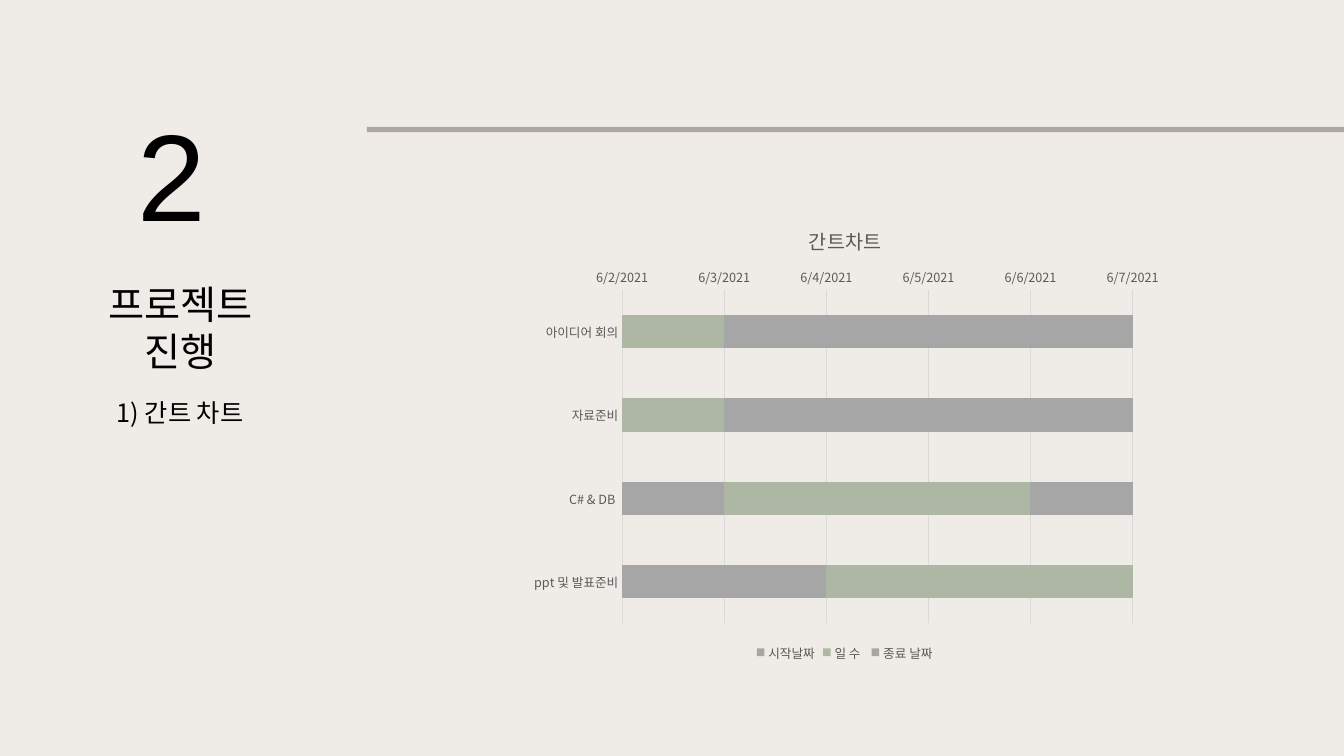
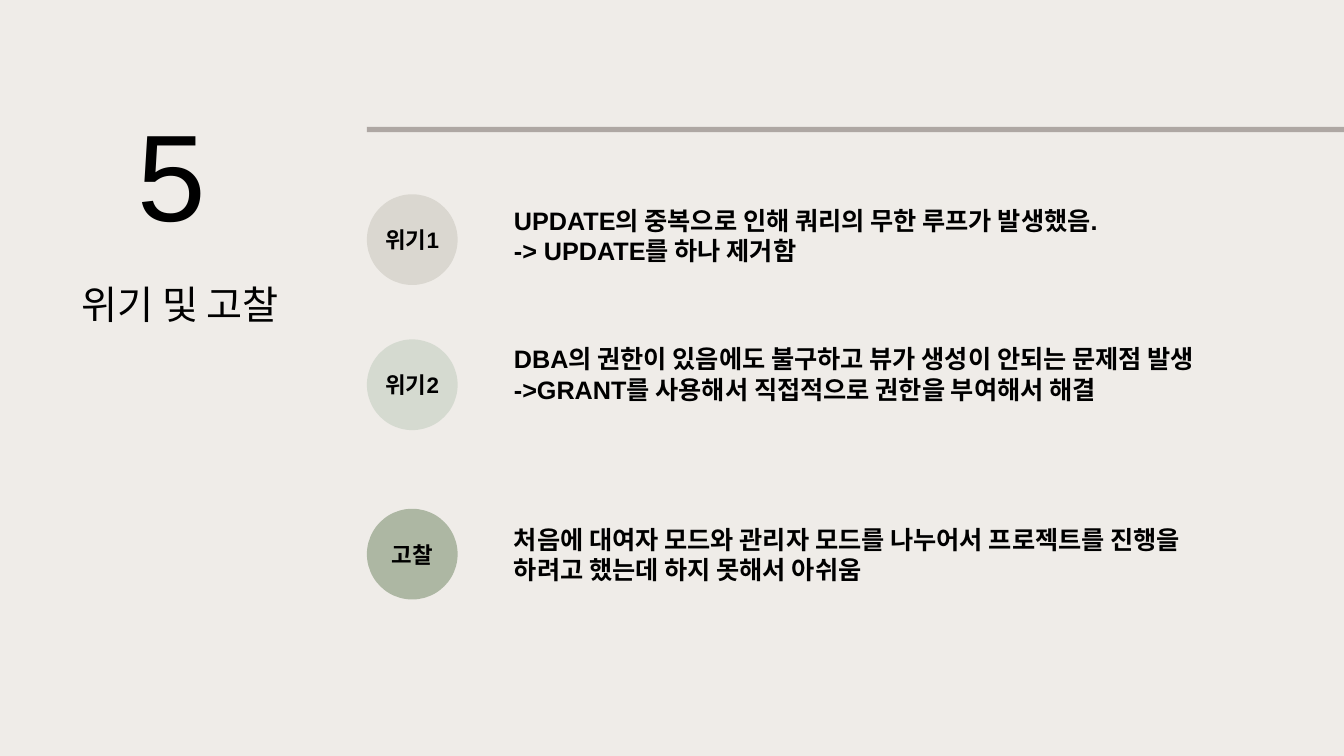
from lxml.etree import SubElement
from pptx import Presentation
from pptx.chart.data import CategoryChartData
from pptx.dml.color import RGBColor
from pptx.enum.chart import XL_CHART_TYPE, XL_LEGEND_POSITION, XL_TICK_MARK
from pptx.enum.shapes import MSO_SHAPE
from pptx.enum.text import MSO_ANCHOR, MSO_AUTO_SIZE, PP_ALIGN
from pptx.oxml import parse_xml
from pptx.oxml.ns import nsdecls, qn
from pptx.util import Inches, Pt


def color(hex_code):
    return RGBColor.from_string(hex_code)


class Deck:
    """Holds the shared style and the current slide; lengths are percent of the slide size."""

    INK, PAPER, BAND = "000000", "EFECE8", "AEA7A3"
    GRAY, GRID, BAR, SAGE = "595959", "D9D9D9", "A6A6A6", "ADB7A3"
    LATIN, KOREAN = "Arial", "Noto Sans CJK KR"
    SIDE_LEFT, SIDE_WIDTH = 4, 18.8
    MAIN_LEFT = 27.3

    def __init__(self):
        self.prs = Presentation()
        self.prs.slide_width, self.prs.slide_height = Inches(13.33), Inches(7.5)
        backdrop = self.prs.slide_master.background.fill
        backdrop.solid()
        backdrop.fore_color.rgb = color(self.PAPER)
        self.slide = None

    def box(self, left, top, width, height):
        w, h = self.prs.slide_width, self.prs.slide_height
        return [int(share * size / 100) for share, size in
                ((left, w), (top, h), (width, w), (height, h))]

    def style(self, font, size, face=KOREAN, ink=INK, bold=False):
        font.size, font.bold, font.name = Pt(size), bold, face
        font.color.rgb = color(ink)
        SubElement(font._rPr, qn("a:ea")).set("typeface", self.KOREAN)

    def add_lines(self, frame, lines, size, align=PP_ALIGN.LEFT, **look):
        for index, line in enumerate(lines):
            paragraph = frame.add_paragraph() if index else frame.paragraphs[0]
            paragraph.alignment = align
            paragraph.space_before = Pt(0)
            run = paragraph.add_run()
            run.text = line
            self.style(run.font, size, **look)

    def fill_placeholder(self, holder, lines, size, top, height):
        holder.left, holder.top, holder.width, holder.height = self.box(
            self.SIDE_LEFT, top, self.SIDE_WIDTH, height)
        frame = holder.text_frame
        frame.auto_size = MSO_AUTO_SIZE.NONE
        frame.vertical_anchor = MSO_ANCHOR.TOP
        self.add_lines(frame, lines, size, PP_ALIGN.CENTER)
        return frame

    def start(self, number, title, layout):
        self.slide = self.prs.slides.add_slide(self.prs.slide_layouts.get_by_name(layout))
        self.fill_placeholder(self.slide.shapes.title, title, 28, 36.35, 13.9)
        self.text([number], 88, 9.5, 12.3, 12.3, 21)
        self.shape(MSO_SHAPE.RECTANGLE, self.BAND, self.MAIN_LEFT, 16.8, 100 - self.MAIN_LEFT, 0.7)

    def subtitle(self, line):
        frame = self.fill_placeholder(self.slide.placeholders[1], [line], 18, 51.9, 5.4)
        properties = frame.paragraphs[0]._p.get_or_add_pPr()
        properties.set("marL", "0")
        properties.set("indent", "0")
        SubElement(properties, qn("a:buNone"))

    def text(self, lines, size, left, top, width, height, bold=False):
        frame = self.slide.shapes.add_textbox(*self.box(left, top, width, height)).text_frame
        frame.word_wrap = True
        self.add_lines(frame, lines, size, face=self.LATIN, bold=bold)

    def shape(self, preset, fill, left, top, width, height):
        shape = self.slide.shapes.add_shape(preset, *self.box(left, top, width, height))
        shape.shadow.inherit = False
        shape.fill.solid()
        shape.fill.fore_color.rgb = color(fill)
        shape.line.fill.background()
        return shape

    def badge(self, label, fill, top):
        frame = self.shape(MSO_SHAPE.OVAL, fill, self.MAIN_LEFT, top, 6.75, 12).text_frame
        frame.margin_left = frame.margin_right = 0
        frame.word_wrap = False
        frame.vertical_anchor = MSO_ANCHOR.MIDDLE
        self.add_lines(frame, [label], 16, PP_ALIGN.CENTER, face=self.LATIN, bold=True)

    def place(self, parent, index, **shares):
        for old in parent.findall(qn("c:layout")):
            parent.remove(old)
        modes = '<c:xMode val="edge"/><c:yMode val="edge"/>'
        values = "".join(f'<c:{key} val="{value}"/>' for key, value in shares.items())
        target = '<c:layoutTarget val="inner"/>' if "w" in shares else ""
        parent.insert(index, parse_xml(
            f'<c:layout {nsdecls("c")}><c:manualLayout>{target}{modes}{values}'
            "</c:manualLayout></c:layout>"))

    def gantt(self, title, tasks, series, first_day, last_day, *area):
        schedule = CategoryChartData()
        schedule.categories = tasks
        for name, values, _ in series:
            schedule.add_series(name, values)
        chart = self.slide.shapes.add_chart(
            XL_CHART_TYPE.BAR_STACKED, *self.box(*area), schedule).chart
        self.style(chart.font, 10)
        self.add_lines(chart.chart_title.text_frame, [title], 14, PP_ALIGN.CENTER, ink=self.GRAY)
        self.place(chart.chart_title._element, 1, x=0.44, y=0.04)
        self.place(chart._chartSpace.chart.plotArea, 0, x=0.16, y=0.19, w=0.78, h=0.72)

        plot = chart.plots[0]
        plot.gap_width, plot.overlap, plot.vary_by_categories = 150, 100, False
        for bars, (_, _, fill) in zip(plot.series, series):
            bars.format.fill.solid()
            bars.format.fill.fore_color.rgb = color(fill)

        task_axis, date_axis = chart.category_axis, chart.value_axis
        for axis in (task_axis, date_axis):
            axis.major_tick_mark = axis.minor_tick_mark = XL_TICK_MARK.NONE
            self.style(axis.tick_labels.font, 9, ink=self.GRAY)
        task_axis.reverse_order = True
        date_axis.minimum_scale, date_axis.maximum_scale = first_day, last_day
        date_axis.major_unit = 1
        date_axis.tick_labels.number_format = "m/d/yyyy"
        date_axis.tick_labels.number_format_is_linked = False
        date_axis.format.line.fill.background()
        for line in (task_axis.format.line, date_axis.major_gridlines.format.line):
            line.color.rgb = color(self.GRID)
            line.width = Pt(0.75)

        chart.has_legend = True
        chart.legend.position = XL_LEGEND_POSITION.BOTTOM
        chart.legend.include_in_layout = False
        self.style(chart.legend.font, 9, ink=self.GRAY)


def main():
    deck = Deck()

    deck.start("2", ["프로젝트", "진행"], "Title and Content")
    deck.subtitle("1) 간트 차트")
    deck.gantt(
        "간트차트",
        ["아이디어 회의", "자료준비", "C# & DB ", "ppt 및 발표준비"],
        [("시작날짜", [44349, 44349, 44350, 44351], deck.BAR),
         ("일 수 ", [1, 1, 3, 3], deck.SAGE),
         ("종료 날짜", [44350, 44350, 44354, 44354], deck.BAR)],
        44349, 44354, 38.5, 26.7, 48.7, 61.3)

    deck.start("5", ["위기 및 고찰"], "Title Only")
    reflections = [
        ("위기1", "DAD7D0", 25.7, 26.5,
         ["UPDATE의 중복으로 인해 쿼리의 무한 루프가 발생했음.", "-> UPDATE를 하나 제거함"]),
        ("위기2", "D5DAD0", 44.9, 44.8,
         ["DBA의 권한이 있음에도 불구하고 뷰가 생성이 안되는 문제점 발생 "
          "->GRANT를 사용해서 직접적으로 권한을 부여해서 해결"]),
        ("고찰", deck.SAGE, 67.3, 68.7,
         ["처음에 대여자 모드와 관리자 모드를 나누어서 프로젝트를 진행을 "
          "하려고 했는데 하지 못해서 아쉬움"]),
    ]
    for label, fill, badge_top, text_top, lines in reflections:
        deck.badge(label, fill, badge_top)
        deck.text(lines, 18, 37.5, text_top, 52.4, 9.5, bold=True)

    deck.prs.save("out.pptx")


if __name__ == "__main__":
    main()
